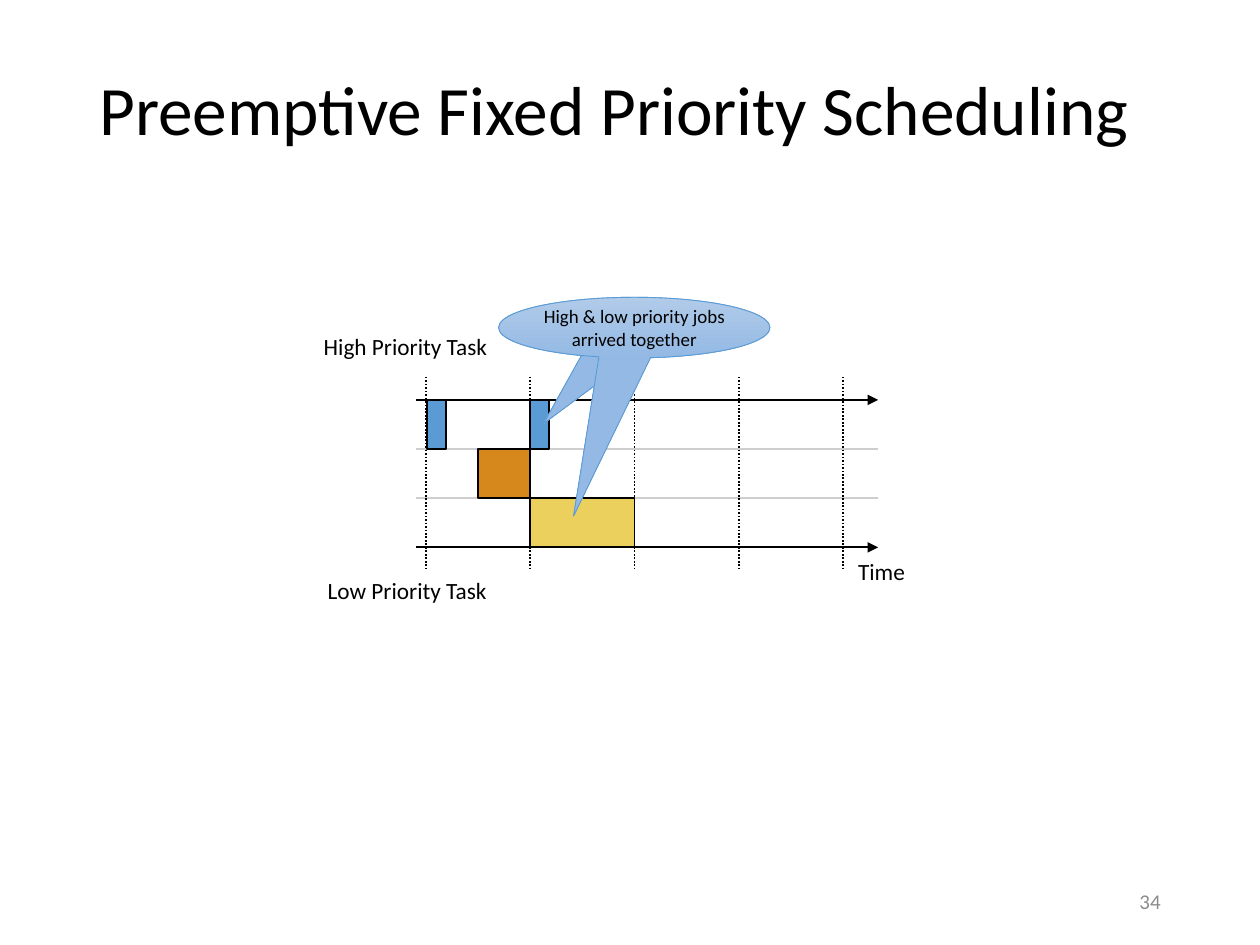
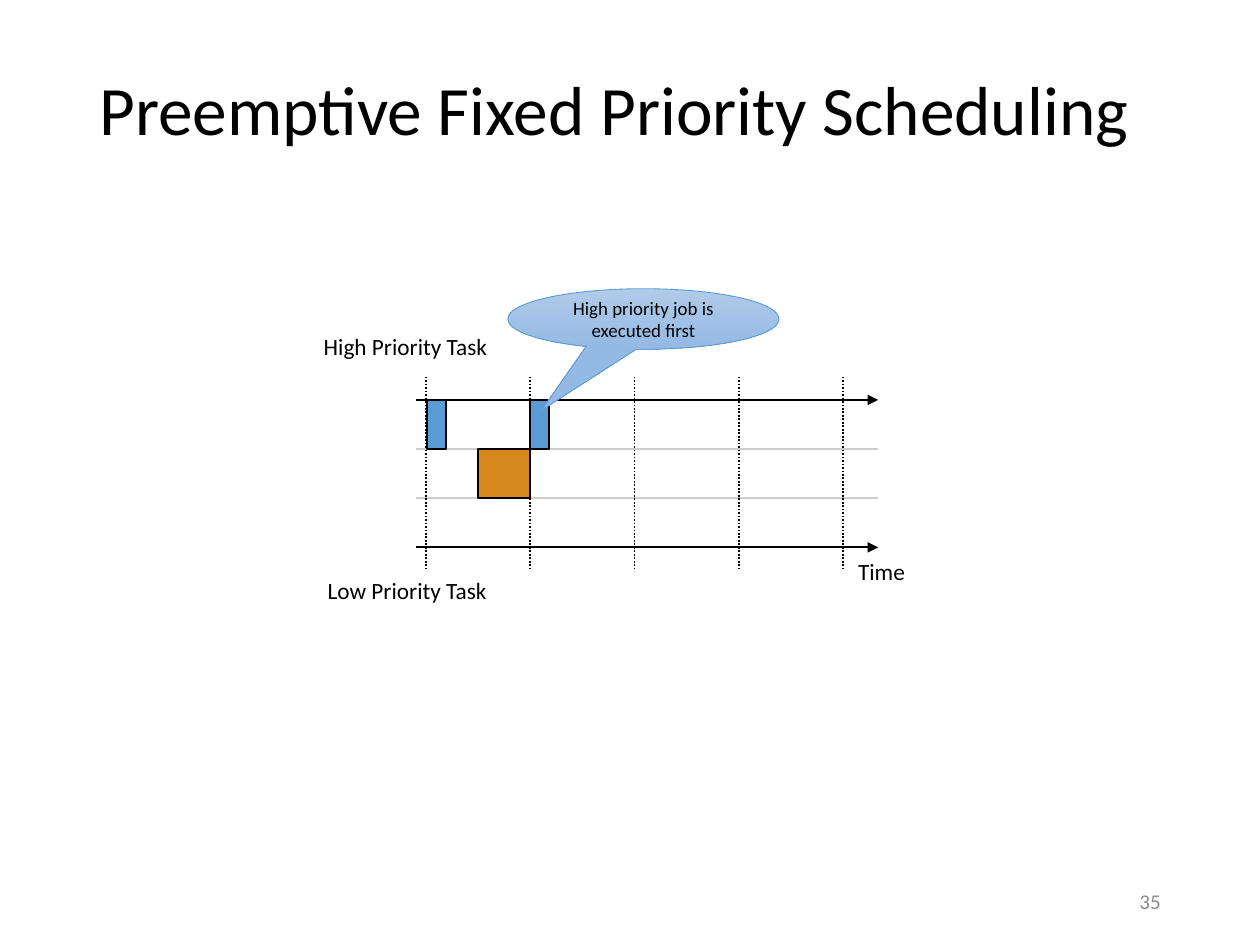
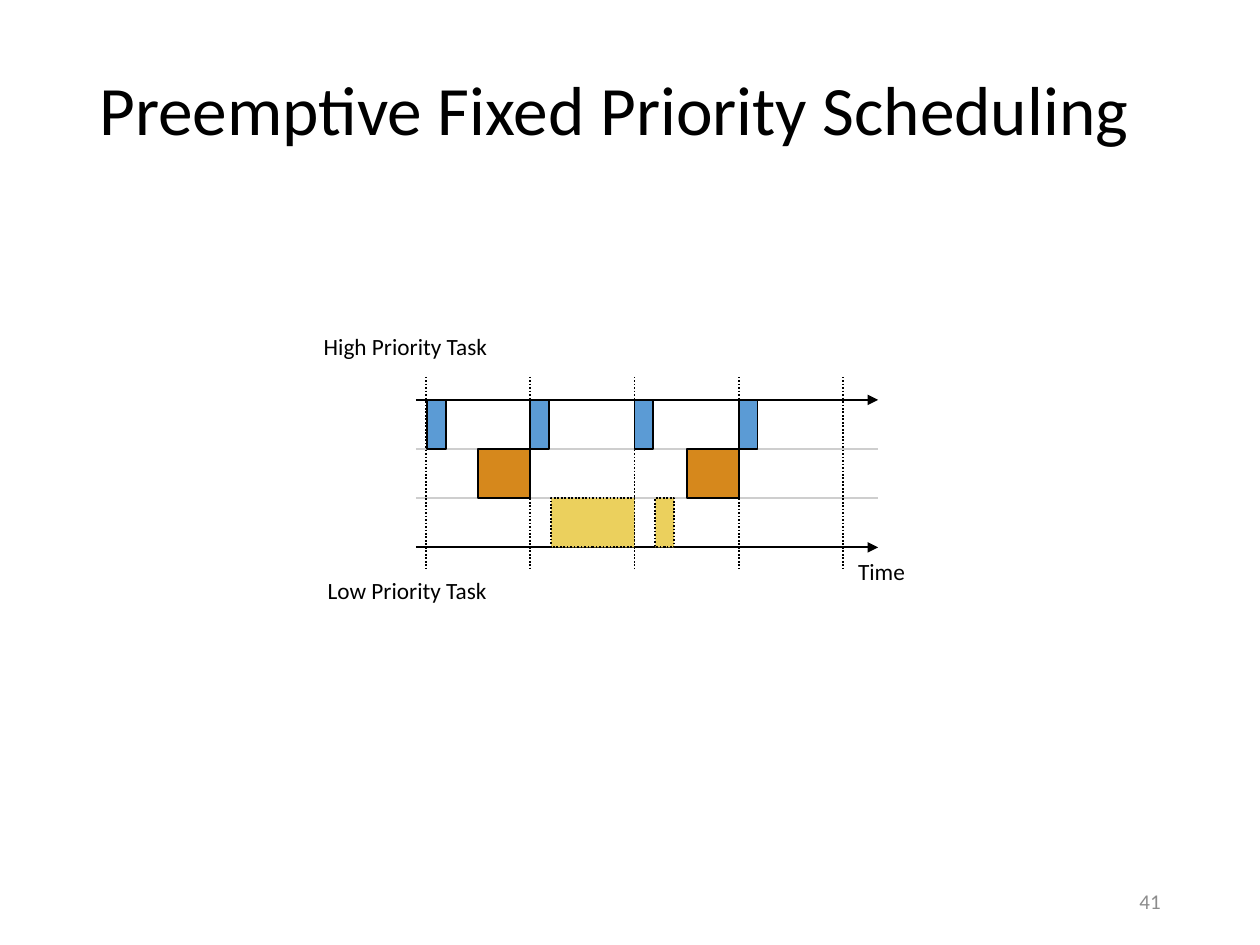
from dataclasses import dataclass

from pptx import Presentation
from pptx.dml.color import RGBColor
from pptx.enum.dml import MSO_LINE
from pptx.enum.shapes import MSO_CONNECTOR, MSO_SHAPE
from pptx.enum.text import MSO_ANCHOR as Anchor, PP_ALIGN as Align
from pptx.oxml.ns import qn
from pptx.oxml.xmlchemy import OxmlElement
from pptx.slide import Slide
from pptx.text.text import TextFrame
from pptx.util import Pt

# Shared style
FONT = "Calibri"
BLACK = RGBColor(0x00, 0x00, 0x00)
PAGE_GREY = RGBColor(0x8C, 0x8C, 0x8C)
LANE_GREY = RGBColor(0xCE, 0xCE, 0xCE)
BLUE = RGBColor(0x5B, 0x9B, 0xD5)
ORANGE = RGBColor(0xD6, 0x88, 0x1C)
YELLOW = RGBColor(0xEB, 0xD0, 0x5D)
CALLOUT_TOP = RGBColor(0xB1, 0xCB, 0xE9)
CALLOUT_BOTTOM = RGBColor(0x93, 0xB9, 0xE4)

# Timeline geometry, in points
AXIS_LEFT, AXIS_RIGHT = 237.6, 501.8
LANES_TOP, LANE_HEIGHT = 228.5, 28.1
FIRST_PERIOD, PERIOD, PERIOD_MARKS = 243.4, 59.6, 5
MARK_TOP, MARK_BOTTOM = 215.3, 326.2
CALLOUT_WIDTH, CALLOUT_HEIGHT = 155, 34.6
HIGH, MIDDLE, LOW = range(3)
LANE_COLORS = (BLUE, ORANGE, YELLOW)
SHORT_RUN = 0.18


@dataclass(frozen=True)
class Label:
    text: str
    left: float
    top: float
    width: float
    height: float
    size: float
    color: RGBColor = BLACK
    align: Align = Align.LEFT
    inset: float = 0
    spacing: float = 1.0


@dataclass(frozen=True)
class Job:
    """One execution; start and length are counted in periods."""
    lane: int
    start: float
    length: float
    under_marks: bool = False
    dotted: bool = False


@dataclass(frozen=True)
class Callout:
    text: str
    left: float
    top: float
    tip_x: float
    tip_y: float


@dataclass(frozen=True)
class Page:
    number: int
    jobs: tuple[Job, ...]
    callouts: tuple[Callout, ...] = ()


TITLE = Label("Preemptive Fixed Priority Scheduling", 49.7, 28.8, 620.6, 71.3,
              39.6, inset=7.2, spacing=0.9)
TASK_LABELS = (
    Label("High Priority Task", 185, 190.1, 130.3, 15.1, 13.3),
    Label("Low Priority Task", 187.2, 329.8, 130.3, 15.1, 13.3),
    Label("Time", 490.3, 319, 51.8, 15.1, 13.3),
)

FIRST_JOBS = (
    Job(HIGH, 0.01, SHORT_RUN, under_marks=True),
    Job(MIDDLE, 0.5, 0.5, under_marks=True),
    Job(HIGH, 1, SHORT_RUN),
)
ARRIVAL = "High & low priority jobs arrived together"
PAGES = (
    Page(34, FIRST_JOBS + (Job(LOW, 1, 1, under_marks=True),),
         (Callout(ARRIVAL, 285, 169.9, -0.335, 1.586),
          Callout(ARRIVAL, 285, 169.9, -0.224, 3.112))),
    Page(35, FIRST_JOBS,
         (Callout("High priority job is executed first", 290.2, 165, -0.376, 1.507),)),
    Page(41, FIRST_JOBS + (
        Job(HIGH, 2, SHORT_RUN),
        Job(HIGH, 3, SHORT_RUN),
        Job(MIDDLE, 2.5, 0.5),
        Job(LOW, 1.2, 0.8, dotted=True),
        Job(LOW, 2.2, SHORT_RUN, dotted=True))),
)


def write(frame: TextFrame, text: str, size: float, color: RGBColor,
          align: Align, inset: float = 0, spacing: float = 1.0) -> None:
    frame.word_wrap = True
    frame.vertical_anchor = Anchor.MIDDLE
    frame.margin_left = frame.margin_right = Pt(inset)
    frame.margin_top = frame.margin_bottom = Pt(inset / 2)
    paragraph = frame.paragraphs[0]
    paragraph.alignment = align
    paragraph.line_spacing = spacing
    run = paragraph.add_run()
    run.text = text
    run.font.name = FONT
    run.font.size = Pt(size)
    run.font.color.rgb = color


def draw_label(slide: Slide, label: Label) -> None:
    box = slide.shapes.add_textbox(Pt(label.left), Pt(label.top),
                                   Pt(label.width), Pt(label.height))
    write(box.text_frame, label.text, label.size, label.color, label.align,
          label.inset, label.spacing)


def draw_line(slide: Slide, x1: float, y1: float, x2: float, y2: float,
              color: RGBColor = BLACK, dotted: bool = False,
              arrow: bool = False) -> None:
    connector = slide.shapes.add_connector(MSO_CONNECTOR.STRAIGHT,
                                           Pt(x1), Pt(y1), Pt(x2), Pt(y2))
    connector.line.color.rgb = color
    connector.line.width = Pt(1)
    if dotted:
        connector.line.dash_style = MSO_LINE.ROUND_DOT
    properties = connector.element.spPr
    if arrow:
        head = OxmlElement("a:tailEnd")
        head.set("type", "triangle")
        properties.find(qn("a:ln")).append(head)
    properties.append(OxmlElement("a:effectLst"))


def draw_axes(slide: Slide) -> None:
    # Outer axes first, then the lane separators
    for edge in (0, 3, 1, 2):
        y = LANES_TOP + edge * LANE_HEIGHT
        outer = edge in (0, 3)
        draw_line(slide, AXIS_LEFT, y, AXIS_RIGHT, y,
                  color=BLACK if outer else LANE_GREY, arrow=outer)


def draw_period_mark(slide: Slide, index: int) -> None:
    x = FIRST_PERIOD + index * PERIOD
    draw_line(slide, x, MARK_TOP, x, MARK_BOTTOM, dotted=True)


def draw_job(slide: Slide, job: Job) -> None:
    block = slide.shapes.add_shape(
        MSO_SHAPE.RECTANGLE,
        Pt(FIRST_PERIOD + job.start * PERIOD),
        Pt(LANES_TOP + job.lane * LANE_HEIGHT),
        Pt(job.length * PERIOD), Pt(LANE_HEIGHT))
    block.shadow.inherit = False
    block.fill.solid()
    block.fill.fore_color.rgb = LANE_COLORS[job.lane]
    block.line.color.rgb = BLACK
    block.line.width = Pt(1)
    if job.dotted:
        block.line.dash_style = MSO_LINE.ROUND_DOT


def draw_callout(slide: Slide, callout: Callout) -> None:
    bubble = slide.shapes.add_shape(
        MSO_SHAPE.OVAL_CALLOUT, Pt(callout.left), Pt(callout.top),
        Pt(CALLOUT_WIDTH), Pt(CALLOUT_HEIGHT))
    bubble.adjustments[0] = callout.tip_x
    bubble.adjustments[1] = callout.tip_y
    bubble.shadow.inherit = False
    bubble.fill.gradient()
    bubble.fill.gradient_angle = 270
    for stop, color in zip(bubble.fill.gradient_stops, (CALLOUT_TOP, CALLOUT_BOTTOM)):
        stop.color.rgb = color
    bubble.line.color.rgb = BLUE
    bubble.line.width = Pt(0.5)
    write(bubble.text_frame, callout.text, 10.8, BLACK, Align.CENTER)


def draw_page(slide: Slide, page: Page) -> None:
    draw_label(slide, TITLE)

    # Timeline, with early jobs behind the later period marks
    draw_axes(slide)
    draw_period_mark(slide, 0)
    for job in page.jobs:
        if job.under_marks:
            draw_job(slide, job)
    for index in range(1, PERIOD_MARKS):
        draw_period_mark(slide, index)
    for job in page.jobs:
        if not job.under_marks:
            draw_job(slide, job)

    # Remarks, task labels and page number
    for callout in page.callouts:
        draw_callout(slide, callout)
    for label in TASK_LABELS:
        draw_label(slide, label)
    draw_label(slide, Label(str(page.number), 508.3, 500.4, 162, 28.8, 12,
                            PAGE_GREY, Align.RIGHT, inset=7.2))


def main() -> None:
    deck = Presentation()
    deck.slide_width, deck.slide_height = Pt(720), Pt(540)
    blank = deck.slide_layouts[6]
    for page in PAGES:
        draw_page(deck.slides.add_slide(blank), page)
    deck.save("out.pptx")


if __name__ == "__main__":
    main()
